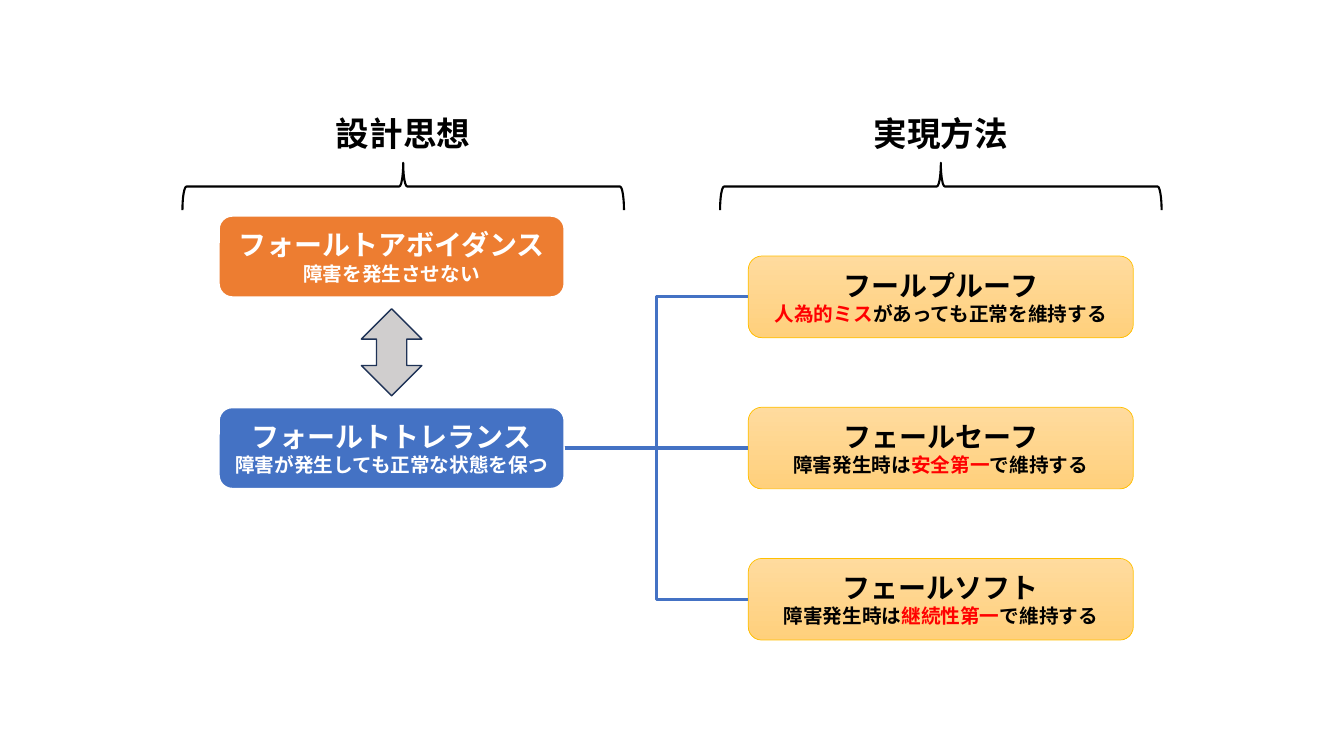
from pptx import Presentation
from pptx.dml.color import RGBColor
from pptx.enum.shapes import MSO_CONNECTOR as Link, MSO_SHAPE as Shape
from pptx.enum.text import MSO_ANCHOR as Anchor, PP_ALIGN as Align
from pptx.oxml.ns import qn
from pptx.util import Inches, Pt
from lxml.etree import SubElement

FONT = "Noto Sans CJK JP"
COLORS = {
    "white": "FFFFFF", "black": "000000", "red": "FF0000",
    "blue": "4472C4", "orange": "ED7D31", "gold": "FFC000",
    "gold_top": "FFDB9E", "gold_bottom": "FFD07C",
    "grey": "D0CECE", "navy": "1E3256",
}

# Grid: 100 columns by 100 rows over the whole slide
WIDTH, HEIGHT = Inches(13.333), Inches(7.5)
COLUMN, ROW = WIDTH / 100, HEIGHT / 100
IDEA_X, GROUP_X = 29.14, (30, 70)
AVOIDANCE_Y, METHOD_Y, METHOD_STEP = 33.93, 39.27, 20
BOX_HEIGHT, IDEA_WIDTH, METHOD_WIDTH = 10.8, 25.73, 28.65

HEADINGS = ("設計思想", "実現方法")
METHODS = (
    ("フールプルーフ", (("人為的ミス", "red"), ("があっても正常を維持する", "black"))),
    ("フェールセーフ", (("障害発生時は", "black"), ("安全第一", "red"),
                 ("で維持する", "black"))),
    ("フェールソフト", (("障害発生時は", "black"), ("継続性第一", "red"),
                 ("で維持する", "black"))),
)


def rgb(color):
    return RGBColor.from_string(COLORS[color])


def centred(x, y, width, height):
    """Grid centre and size to left, top, width and height."""
    return (round((x - width / 2) * COLUMN), round((y - height / 2) * ROW),
            round(width * COLUMN), round(height * ROW))


def write_line(paragraph, runs, size):
    paragraph.alignment = Align.CENTER
    for words, color in runs:
        run = paragraph.add_run()
        run.text = words
        for key, value in {"name": FONT, "size": Pt(size), "bold": True}.items():
            setattr(run.font, key, value)
        run.font.color.rgb = rgb(color)
        east_asian = SubElement(run.font._element, qn("a:ea"))
        east_asian.set("typeface", FONT)


def add_outline(slide, kind, place, fill, line, weight):
    outline = slide.shapes.add_shape(kind, *place)
    outline.shadow.inherit = False
    outline.line.color.rgb = rgb(line)
    outline.line.width = Pt(weight)
    if fill is None:
        outline.fill.background()
    elif isinstance(fill, tuple):
        outline.fill.gradient()
        outline.fill.gradient_angle = 270
        for stop, color, position in zip(outline.fill.gradient_stops, fill, (0, 1)):
            stop.color.rgb = rgb(color)
            stop.position = position
    else:
        outline.fill.solid()
        outline.fill.fore_color.rgb = rgb(fill)
    return outline


def add_term(slide, place, fill, line, weight, term, term_color, meaning):
    box = add_outline(slide, Shape.FLOWCHART_ALTERNATE_PROCESS, place,
                      fill, line, weight)
    frame = box.text_frame
    for key, value in {"word_wrap": True, "vertical_anchor": Anchor.MIDDLE}.items():
        setattr(frame, key, value)
    write_line(frame.paragraphs[0], [(term, term_color)], 20)
    write_line(frame.add_paragraph(), meaning, 14)
    return box


def add_idea(slide, y, fill, term, meaning):
    return add_term(slide, centred(IDEA_X, y, IDEA_WIDTH, BOX_HEIGHT), fill,
                    "white", 1.5, term, "white", [(meaning, "white")])


def add_branch(slide, idea, method, kind):
    branch = slide.shapes.add_connector(kind, 0, 0, 0, 0)
    branch.begin_connect(idea, 3)
    branch.end_connect(method, 1)
    branch.line.color.rgb = rgb("blue")
    branch.line.width = Pt(2.25)
    SubElement(branch._element.spPr, qn("a:effectLst"))


def add_group_heading(slide, x, words):
    heading = slide.shapes.add_textbox(*centred(x, 17.6, 17.18, 6.73))
    heading.text_frame.word_wrap = True
    write_line(heading.text_frame.paragraphs[0], [(words, "black")], 24)
    brace = add_outline(slide, Shape.LEFT_BRACE, centred(x, 24.67, 3.53, 58.4),
                        None, "black", 1.5)
    brace.rotation = 90


def main():
    deck = Presentation()
    deck.slide_width, deck.slide_height = WIDTH, HEIGHT
    slide = deck.slides.add_slide(deck.slide_layouts[6])

    # Design ideas, with the arrow that sets them against each other
    tolerance = add_idea(slide, METHOD_Y + METHOD_STEP, "blue",
                         "フォールトトレランス", "障害が発生しても正常な状態を保つ")
    add_idea(slide, AVOIDANCE_Y, "orange", "フォールトアボイダンス", "障害を発生させない")
    add_outline(slide, Shape.UP_DOWN_ARROW, centred(IDEA_X, 46.6, 4.5, 11.5),
                "grey", "navy", 1)

    # Methods, each branching from fault tolerance
    for index, (term, meaning) in enumerate(METHODS):
        place = centred(GROUP_X[1], METHOD_Y + index * METHOD_STEP,
                        METHOD_WIDTH, BOX_HEIGHT)
        method = add_term(slide, place, ("gold_top", "gold_bottom"), "gold", 0.5,
                          term, "black", meaning)
        add_branch(slide, tolerance, method,
                   Link.STRAIGHT if index == 1 else Link.ELBOW)

    # Headings and braces
    for x, words in zip(GROUP_X, HEADINGS):
        add_group_heading(slide, x, words)

    deck.save("out.pptx")


if __name__ == "__main__":
    main()
